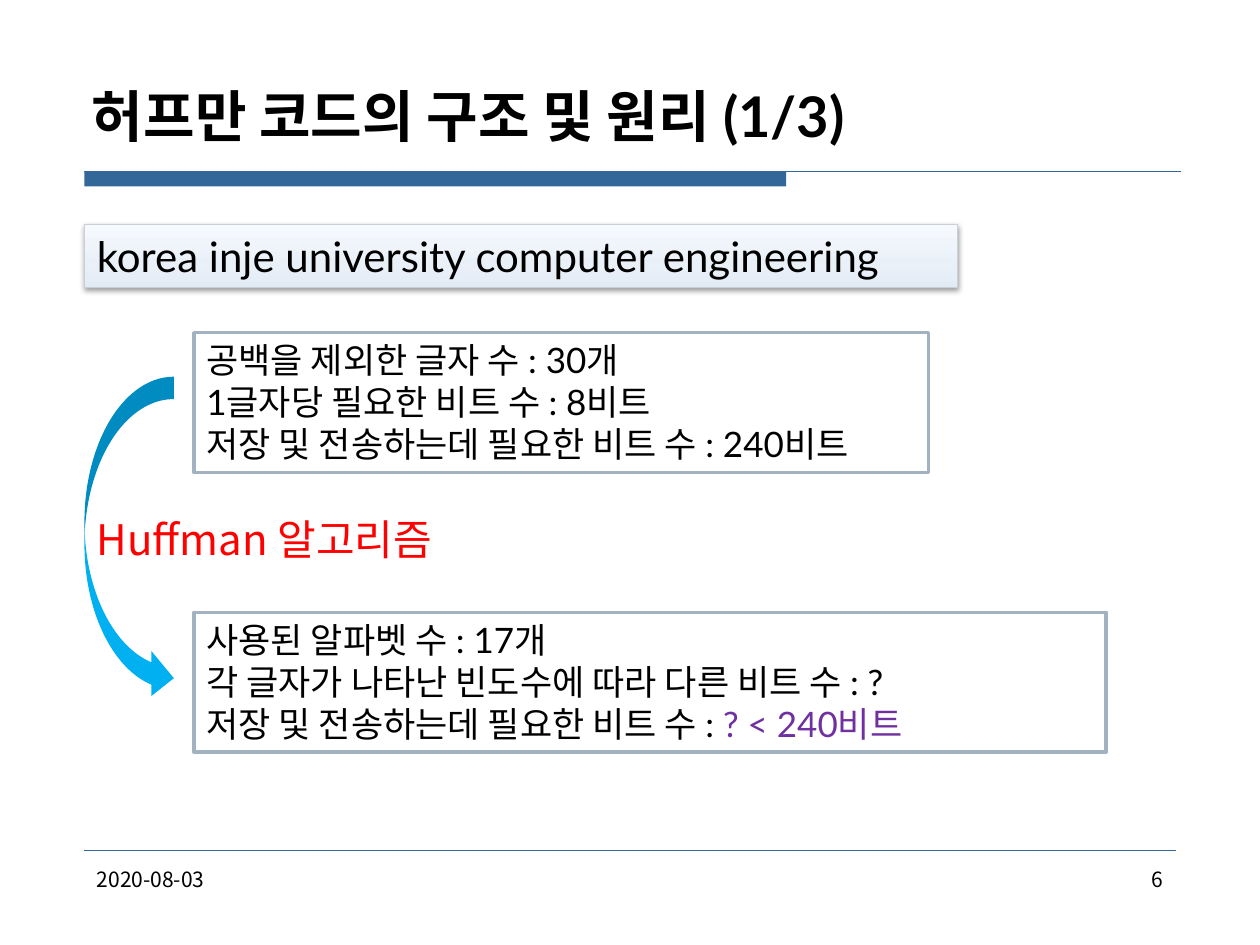
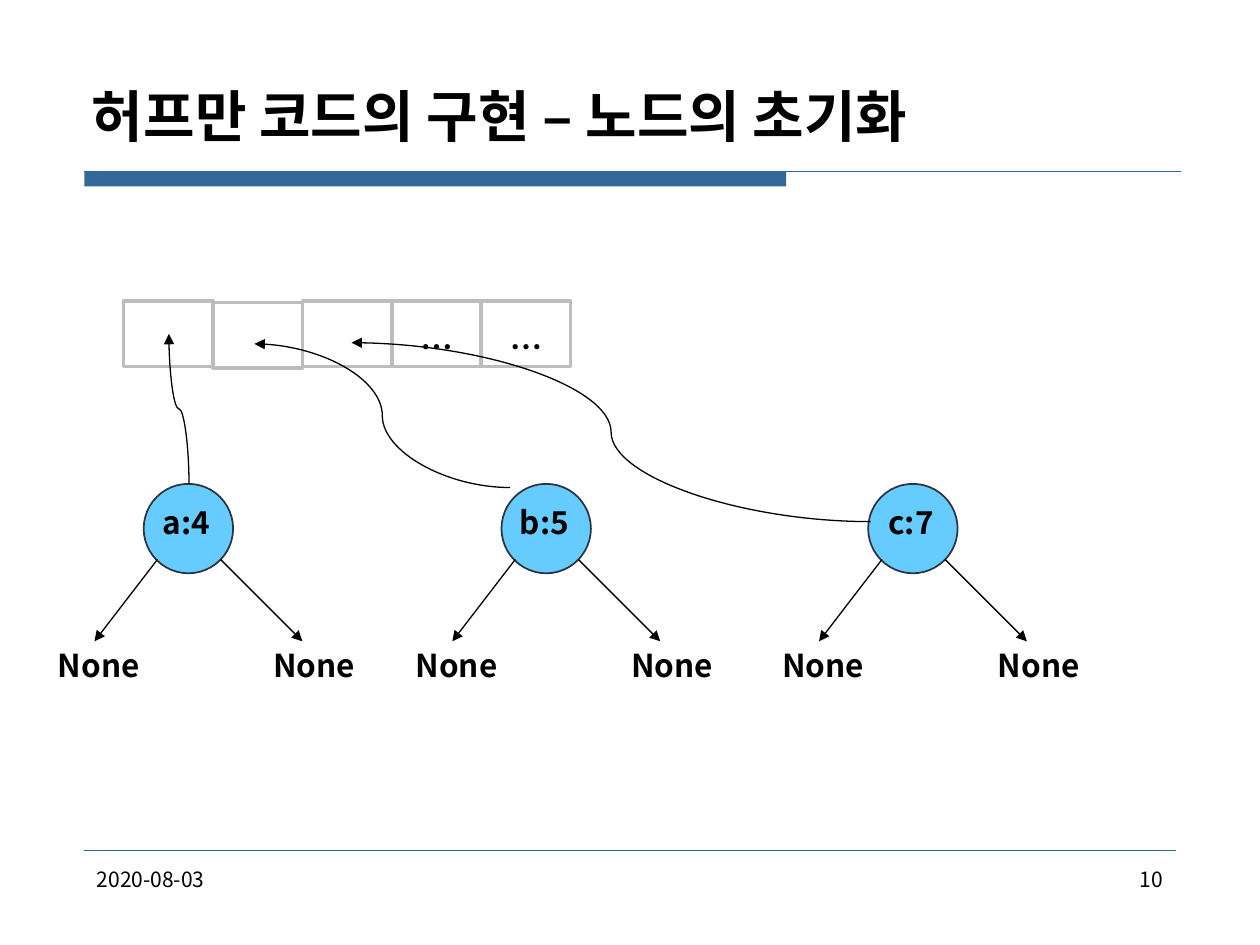
from copy import deepcopy

from lxml.etree import SubElement
from pptx import Presentation
from pptx.dml.color import RGBColor
from pptx.enum.shapes import MSO_CONNECTOR as LINK, MSO_SHAPE as SHAPE
from pptx.enum.text import MSO_ANCHOR as ANCHOR, MSO_AUTO_SIZE as FIT, PP_ALIGN as ALIGN
from pptx.oxml.ns import qn
from pptx.util import Inches, Pt

COLORS = {
    "ink": "000000", "paper": "FFFFFF", "band": "336699", "frame": "A3B2C1",
    "source_edge": "C9D0D8", "arrow": "00B0F0", "algorithm": "FF0000",
    "result": "7030A0", "cell": "BDBDBD", "node": "66CCFF", "node_edge": "2C353F",
}
SOURCE_STOPS = ((0, "E2EBF5"), (0.35, "EAF0F8"), (1, "F6F9FD"))
LATIN, KOREAN = "Lato", "Noto Sans CJK KR"


def rgb(name):
    return RGBColor.from_string(COLORS[name])


def write(shape, *lines, size=18, font=KOREAN, color="ink", bold=False,
          align=ALIGN.LEFT, anchor=ANCHOR.TOP, fit=FIT.NONE):
    frame = shape.text_frame
    frame.word_wrap = True
    frame.auto_size = fit
    frame.vertical_anchor = anchor
    for index, line in enumerate(lines):
        paragraph = frame.add_paragraph() if index else frame.paragraphs[0]
        paragraph.alignment = align
        for words, tint in [(line, color)] if isinstance(line, str) else line:
            run = paragraph.add_run()
            run.text = words
            run.font.size = Pt(size)
            run.font.name = font
            run.font.bold = bold
            run.font.color.rgb = rgb(tint)
            SubElement(run.font._element, qn("a:ea"), typeface=KOREAN)
    return shape


def label(shapes, box, *lines, **style):
    return write(shapes.add_textbox(*map(Inches, box)), *lines, **style)


def block(shapes, kind, box, fill, edge=None, weight=1):
    shape = shapes.add_shape(kind, *map(Inches, box))
    shape.shadow.inherit = False
    shape.fill.solid()
    shape.fill.fore_color.rgb = rgb(fill)
    if edge:
        shape.line.color.rgb = rgb(edge)
        shape.line.width = Pt(weight)
    else:
        shape.line.fill.background()
    return shape


def link(shapes, start, end, kind=LINK.STRAIGHT, color="ink", weight=0.75, arrow=True):
    line = shapes.add_connector(kind, *map(Inches, (*start, *end)))
    line.line.color.rgb = rgb(color)
    line.line.width = Pt(weight)
    if arrow:
        SubElement(line.get_or_add_ln(), qn("a:tailEnd"), type="triangle")
    SubElement(line.element.spPr, qn("a:effectLst"))
    return line


def rising_curve(shapes, start, end):
    (x1, y1), (x2, y2) = start, end
    x, y = (x1 + x2) / 2, (y1 + y2) / 2
    along, across = (y1 - y2) / 2, (x1 - x2) / 2
    curve = link(shapes, (x - along, y + across), (x + along, y - across), LINK.CURVE)
    curve.element.spPr.find(qn("a:xfrm")).set("rot", str(270 * 60000))


def add_bands(slide):
    shapes = slide.shapes
    bands = (
        block(shapes, SHAPE.RECTANGLE, (0.67, 1.36, 5.57, 0.12), "band"),
        link(shapes, (0.67, 1.36), (9.37, 1.36), color="band", arrow=False),
        link(shapes, (0.67, 6.75), (9.33, 6.75), color="band", weight=0.25, arrow=False),
    )
    for band in bands:
        slide.slide_layout.shapes.element.append(band.element)


def add_page(deck, heading, number):
    slide = deck.slides.add_slide(deck.slide_layouts[5])
    title = slide.shapes.title
    title.left, title.top, title.width, title.height = map(Inches, (0.63, 0.33, 8.75, 0.9))
    write(title, heading, size=32, font=LATIN, bold=True, anchor=ANCHOR.BOTTOM)
    label(slide.shapes, (0.67, 6.83, 1.5, 0.52), "2020-08-03", size=12)
    label(slide.shapes, (7.91, 6.83, 1.42, 0.52), number, size=12, align=ALIGN.RIGHT)
    return slide


def source_text(shapes, box, words):
    source = block(shapes, SHAPE.RECTANGLE, box, "paper", "source_edge", 0.75)
    source.fill.gradient()
    source.fill.gradient_angle = 90
    stop_list = source.element.spPr.find(".//" + qn("a:gsLst"))
    stop_list.insert(1, deepcopy(stop_list[0]))
    for stop, (position, tint) in zip(source.fill.gradient_stops, SOURCE_STOPS):
        stop.position = position
        stop.color.rgb = RGBColor.from_string(tint)
    effects = source.element.spPr.find(qn("a:effectLst"))
    shadow = SubElement(effects, qn("a:outerShdw"), blurRad=str(Pt(3.1)), dist=str(Pt(1.6)),
                        dir=str(90 * 60000), rotWithShape="0")
    tint = SubElement(shadow, qn("a:srgbClr"), val=COLORS["ink"])
    SubElement(tint, qn("a:alpha"), val="38000")
    write(source, words, size=24, font=LATIN, fit=FIT.SHAPE_TO_FIT_TEXT)


def bit_counts(shapes, box, *lines):
    panel = block(shapes, SHAPE.RECTANGLE, box, "paper", "frame", 2)
    write(panel, *lines, size=20, font=LATIN, fit=FIT.SHAPE_TO_FIT_TEXT)


def compression(shapes, left, top):
    source_text(shapes, (left, top, 6.93, 0.5), "korea inje university computer engineering")
    bit_counts(shapes, (left + 0.87, top + 0.86, 5.83, 1.11),
               "공백을 제외한 글자 수 : 30개",
               "1글자당 필요한 비트 수 : 8비트",
               "저장 및 전송하는데 필요한 비트 수 : 240비트")
    block(shapes, SHAPE.CURVED_RIGHT_ARROW, (left, top + 1.21, 0.71, 2.57), "arrow")
    label(shapes, (left, top + 2.25, 3.11, 0.5), "Huffman 알고리즘", size=24,
          color="algorithm", fit=FIT.SHAPE_TO_FIT_TEXT)
    bit_counts(shapes, (left + 0.87, top + 3.08, 7.24, 1.11),
               "사용된 알파벳 수 : 17개",
               "각 글자가 나타난 빈도수에 따라 다른 비트 수 : ?",
               [("저장 및 전송하는데 필요한 비트 수 : ", "ink"), ("? < 240비트", "result")])


def node_array(shapes, left, top, width=0.71, height=0.52):
    for index, words in enumerate(("", "", "", "…", "…")):
        drop = 0.01 if index == 1 else 0
        cell = block(shapes, SHAPE.RECTANGLE, (left + index * width, top + drop, width, height),
                     "paper", "cell", 2)
        if words:
            write(cell, words, size=24, font=LATIN, align=ALIGN.CENTER,
                  fit=FIT.SHAPE_TO_FIT_TEXT)


def leaf_node(shapes, left, top, words):
    node = shapes.add_group_shape().shapes
    block(node, SHAPE.OVAL, (left, top, 0.71, 0.71), "node", "node_edge")
    label(node, (left + 0.03, top + 0.1, 0.62, 0.4), words, bold=True,
          align=ALIGN.CENTER, fit=FIT.SHAPE_TO_FIT_TEXT)
    for start, end, child in ((0.11, -0.39, -0.78), (0.61, 1.26, 0.93)):
        link(shapes, (left + start, top + 0.6), (left + end, top + 1.25))
        label(shapes, (left + child, top + 1.24, 0.89, 0.4), "None", bold=True,
              fit=FIT.SHAPE_TO_FIT_TEXT)


def node_setup(shapes, left, top):
    node_array(shapes, left, top)
    for offset, words in ((0.16, "a:4"), (3, "b:5"), (5.91, "c:7")):
        leaf_node(shapes, left + offset, top + 1.45, words)
    rising_curve(shapes, (left + 0.52, top + 1.45), (left + 0.36, top + 0.26))
    link(shapes, (left + 3.07, top + 1.48), (left + 1.04, top + 0.34), LINK.CURVE)
    link(shapes, (left + 5.93, top + 1.75), (left + 1.81, top + 0.33), LINK.CURVE)


deck = Presentation()
deck.slide_width, deck.slide_height = Inches(10), Inches(7.5)

principle = add_page(deck, "허프만 코드의 구조 및 원리 (1/3)", "6")
add_bands(principle)
compression(principle.shapes, 0.67, 1.78)

setup = add_page(deck, "허프만 코드의 구현 – 노드의 초기화", "10")
node_setup(setup.shapes, 0.98, 2.39)

deck.save("out.pptx")
